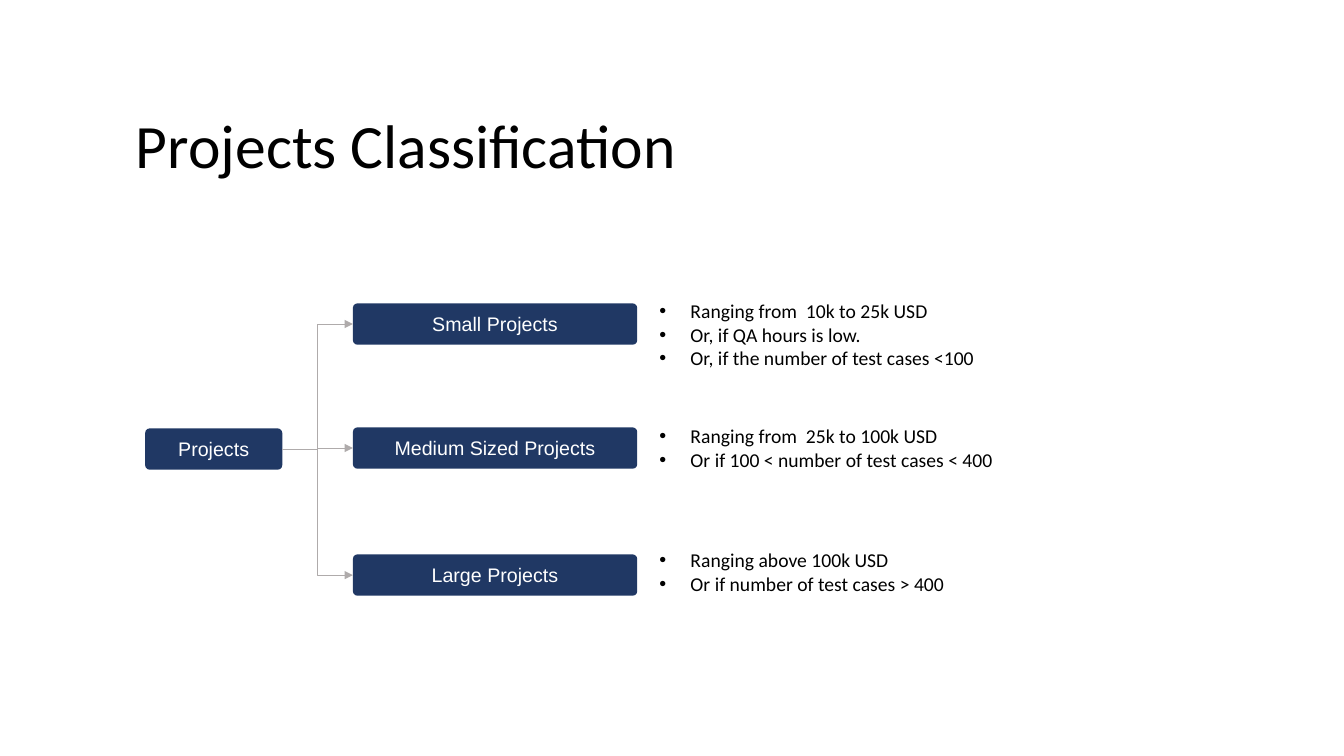
from lxml.etree import SubElement
from pptx import Presentation
from pptx.dml.color import RGBColor
from pptx.enum.shapes import MSO_CONNECTOR, MSO_SHAPE
from pptx.enum.text import MSO_ANCHOR, PP_ALIGN
from pptx.oxml.ns import qn
from pptx.util import Inches, Pt

COLORS = {"navy": "203864", "gray": "AFABAB", "white": "FFFFFF", "black": "000000"}

CLASSES = [
    ("Small Projects", 3.01, 2.92, 0.81, [
        "Ranging from  10k to 25k USD",
        "Or, if QA hours is low.",
        "Or, if the number of test cases <100"]),
    ("Medium Sized Projects", 4.24, 4.16, 0.57, [
        "Ranging from  25k to 100k USD",
        "Or if 100 < number of test cases < 400"]),
    ("Large Projects", 5.5, 5.39, 0.57, [
        "Ranging above 100k USD",
        "Or if number of test cases > 400"]),
]


def color(name):
    return RGBColor.from_string(COLORS[name])


def style(para, font, size, tone):
    para.font.name = font
    para.font.size = Pt(size)
    para.font.color.rgb = color(tone)


def add_box(slide, text, left, top, width):
    box = slide.shapes.add_shape(
        MSO_SHAPE.ROUNDED_RECTANGLE,
        Inches(left), Inches(top), Inches(width), Inches(0.41))
    box.adjustments[0] = 0.11
    box.shadow.inherit = False
    box.fill.solid()
    box.fill.fore_color.rgb = color("navy")
    box.line.fill.background()
    frame = box.text_frame
    frame.vertical_anchor = MSO_ANCHOR.MIDDLE
    para = frame.paragraphs[0]
    para.text = text
    para.alignment = PP_ALIGN.CENTER
    style(para, "Arial", 14, "white")
    return box


def add_arrow(slide, start, end):
    """Join the right side of start to the left side of end."""
    arrow = slide.shapes.add_connector(MSO_CONNECTOR.ELBOW, 0, 0, 0, 0)
    arrow.begin_connect(start, 3)
    arrow.end_connect(end, 1)
    arrow.line.color.rgb = color("gray")
    arrow.line.width = Pt(0.5)
    SubElement(arrow.line._get_or_add_ln(), qn("a:tailEnd"), type="triangle")
    SubElement(arrow._element.spPr, qn("a:effectLst"))


def add_text(slide, left, top, width, height):
    box = slide.shapes.add_textbox(
        Inches(left), Inches(top), Inches(width), Inches(height))
    box.text_frame.word_wrap = True
    return box.text_frame


def add_title(slide, text):
    frame = add_text(slide, 1.25, 0.75, 11.5, 1.45)
    frame.vertical_anchor = MSO_ANCHOR.MIDDLE
    para = frame.paragraphs[0]
    para.text = text
    para.line_spacing = 0.9
    style(para, "Calibri", 44, "black")


def add_bullets(slide, lines, top, height):
    frame = add_text(slide, 6.44, top, 3.61, height)
    frame.text = "\n".join(lines)
    for para in frame.paragraphs:
        style(para, "Calibri", 14, "black")
        props = para._p.get_or_add_pPr()
        props.set("marL", str(Inches(0.31)))
        props.set("indent", str(Inches(-0.31)))
        mark = SubElement(props, qn("a:buFont"), typeface="Arial")
        bullet = SubElement(props, qn("a:buChar"), char="•")
        props.insert(0, bullet)
        props.insert(0, mark)


def main():
    deck = Presentation()
    deck.slide_width = Inches(13.33)
    deck.slide_height = Inches(7.5)
    slide = deck.slides.add_slide(deck.slide_layouts[6])
    add_title(slide, "Projects Classification")
    root = add_box(slide, "Projects", 1.44, 4.25, 1.36)
    for name, top, text_top, height, lines in CLASSES:
        box = add_box(slide, name, 3.5, top, 2.82)
        add_arrow(slide, root, box)
        add_bullets(slide, lines, text_top, height)
    deck.save("out.pptx")


if __name__ == "__main__":
    main()
